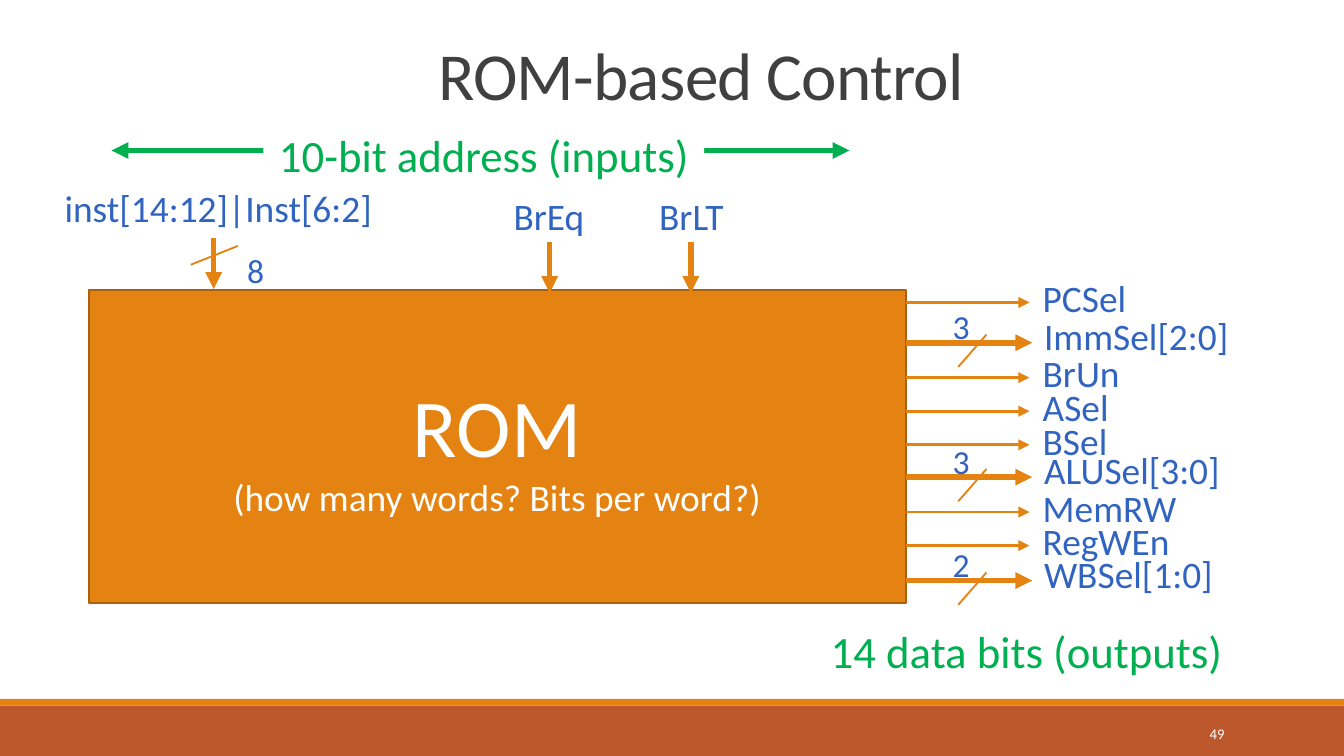
from pptx import Presentation
from pptx.dml.color import RGBColor
from pptx.enum.shapes import MSO_CONNECTOR, MSO_SHAPE
from pptx.enum.text import MSO_ANCHOR, MSO_AUTO_SIZE, PP_ALIGN
from pptx.oxml.ns import qn
from pptx.util import Inches, Pt
from lxml.etree import SubElement

COLORS = {
    "orange": "E48312", "edge": "A9610D", "rust": "BD582C", "blue": "3064C0",
    "green": "00B050", "gray": "404040", "white": "FFFFFF",
}
HEX = {name: RGBColor.from_string(code) for name, code in COLORS.items()}

deck = Presentation()
deck.slide_width = Inches(10)
deck.slide_height = Inches(10) * 9 // 16
slide = deck.slides.add_slide(deck.slide_layouts[5])
shapes = slide.shapes


def add_text(text, box, size, color="blue", align=PP_ALIGN.LEFT, fill=None):
    label = shapes.add_textbox(*map(Inches, box))
    if fill:
        label.fill.solid()
        label.fill.fore_color.rgb = HEX[fill]
    frame = label.text_frame
    frame.word_wrap = False
    para = frame.paragraphs[0]
    para.text, para.alignment = text, align
    para.font.size, para.font.name = Pt(size), "Calibri"
    para.font.color.rgb = HEX[color]
    return frame


def add_line(start, end, width, color="orange", ends=("tailEnd",)):
    """Draw a straight line; ends names the ends that get an arrowhead."""
    line = shapes.add_connector(MSO_CONNECTOR.STRAIGHT, *map(Inches, start + end))
    line.line.width = Pt(width)
    line.line.color.rgb = HEX[color]
    for tag in ends:
        SubElement(line.line._get_or_add_ln(), qn(f"a:{tag}"), type="triangle")
    SubElement(line._element.spPr, qn("a:effectLst"))


# Footer bars and page number
for color, top, height in [("rust", 5.25, 0.38), ("orange", 5.2, 0.05)]:
    bar = shapes.add_shape(MSO_SHAPE.RECTANGLE, 0, Inches(top),
                           deck.slide_width, Inches(height))
    bar.shadow.inherit = False
    bar.fill.solid()
    bar.fill.fore_color.rgb = HEX[color]
    bar.line.fill.background()
page = add_text("49", (8.13, 5.31, 1.08, 0.3), 7.9, "white", PP_ALIGN.RIGHT)
page.word_wrap = True
page.vertical_anchor = MSO_ANCHOR.MIDDLE

# Title
title = shapes.title
title.left, title.top = Inches(3.16), Inches(0.27)
title.width, title.height = Inches(4.17), Inches(0.63)
frame = title.text_frame
frame.text = "ROM-based Control"
frame.auto_size = MSO_AUTO_SIZE.NONE
frame.vertical_anchor = MSO_ANCHOR.BOTTOM
para = frame.paragraphs[0]
para.alignment, para.line_spacing = PP_ALIGN.LEFT, 0.85
para.font.size, para.font.name = Pt(36), "Calibri"
para.font.color.rgb = HEX["gray"]
para.runs[0]._r.get_or_add_rPr().set("spc", "-40")

# ROM block
rom = shapes.add_shape(MSO_SHAPE.RECTANGLE, Inches(0.66), Inches(2.16),
                       Inches(6.08), Inches(2.33))
rom.shadow.inherit = False
rom.fill.solid()
rom.fill.fore_color.rgb = HEX["orange"]
rom.line.color.rgb = HEX["edge"]
rom.line.width = Pt(1.25)
frame = rom.text_frame
frame.vertical_anchor = MSO_ANCHOR.MIDDLE
frame.text = "ROM\n(how many words? Bits per word?)"
for para, size in zip(frame.paragraphs, (44, 20)):
    para.alignment = PP_ALIGN.CENTER
    para.font.size, para.font.name = Pt(size), "Calibri"
    para.font.color.rgb = HEX["white"]

# Address span and captions
add_line((0.83, 1.12), (6.32, 1.12), 3, "green", ("headEnd", "tailEnd"))
for text, box in [("10-bit address (inputs)", (1.96, 0.9, 3.28, 0.5)),
                  ("14 data bits (outputs) ", (6.07, 4.59, 3.21, 0.5))]:
    add_text(text, box, 24, "green", PP_ALIGN.CENTER, "white")

# Inputs: name, label left, top and width, arrow x and top
inputs = [
    ("inst[14:12]|Inst[6:2]", 0.37, 1.33, 2.51, 1.59, 1.77),
    ("BrEq", 3.72, 1.39, 0.73, 4.09, 1.8),
    ("BrLT", 4.8, 1.39, 0.69, 5.14, 1.8),
]
for name, left, top, width, x, y in inputs:
    add_line((x, y), (x, y + 0.38), 3)
    add_text(name, (left, top, width, 0.44), 20, align=PP_ALIGN.CENTER)
add_line((1.42, 1.97), (1.77, 1.83), 1, ends=())
add_text("8", (1.74, 1.81, 0.33, 0.4), 18)

# Outputs: name, arrow y, label width, bus width in bits
outputs = [
    ("PCSel", 2.25, 0.83, None),
    ("ImmSel[2:0]", 2.55, 1.58, "3"),
    ("BrUn", 2.81, 0.78, None),
    ("ASel", 3.06, 0.7, None),
    ("BSel", 3.31, 0.69, None),
    ("ALUSel[3:0]", 3.55, 1.53, "3"),
    ("MemRW", 3.81, 1.21, None),
    ("RegWEn", 4.06, 1.16, None),
    ("WBSel[1:0]", 4.32, 1.47, "2"),
]
for name, y, width, bits in outputs:
    if bits:
        add_text(name, (7.67, y - 0.27, width, 0.44), 20)
        add_line((6.74, y), (7.68, y), 3)
        add_line((7.13, y + 0.18), (7.34, y - 0.06), 1, ends=())
        add_text(bits, (6.99, y - 0.32, 0.33, 0.4), 18)
    else:
        add_text(name, (7.66, y - 0.25, width, 0.44), 20)
        add_line((6.74, y), (7.66, y), 1.5)

deck.save("out.pptx")
